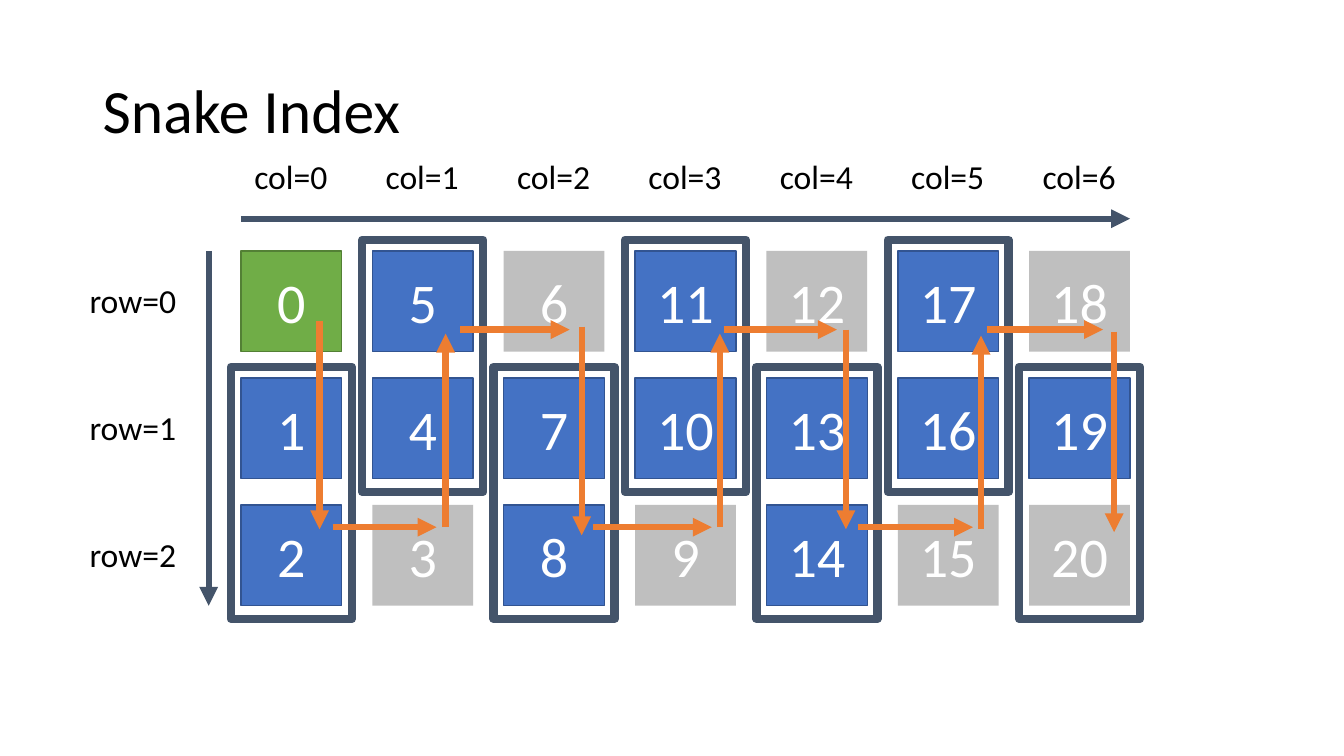
import pptx
import pptx.util
import pptx.dml.color
import pptx.enum.shapes
import pptx.enum.text
import pptx.oxml.ns
from lxml import etree

Inches, Pt = pptx.util.Inches, pptx.util.Pt
ALIGN = pptx.enum.text.PP_ALIGN
ANCHOR = pptx.enum.text.MSO_ANCHOR

TITLE = "Snake Index"
COLS, ROWS = 7, 3
START = 0
SKIPPED = {3, 6, 9, 12, 15, 18, 20}
FONT = "Calibri"
BLACK, WHITE, SLATE, ORANGE = "000000", "FFFFFF", "44546A", "ED7D31"
GREEN, GREEN_EDGE = "70AD47", "538035"
BLUE, BLUE_EDGE, GREY = "4472C4", "325491", "BFBFBF"

# Grid origin, pitch and cell size in inches
LEFT, TOP, PITCH_X, PITCH_Y, CELL = 2.39, 2.49, 1.303, 1.26, 1
FRAME_W, FRAME_H = 1.2, 2.5

# One run per column: x, y from, y to
RUNS = [(3.17, 3.18, 5.25), (4.42, 5.23, 3.31), (5.77, 3.24, 5.31),
        (7.14, 5.23, 3.31), (8.39, 3.27, 5.25), (9.73, 5.25, 3.33),
        (11.05, 3.29, 5.28)]
# One step between neighbouring columns: x from, x to; they alternate low and high
STEPS = [(3.3, 4.33), (4.56, 5.65), (5.88, 7.06), (7.18, 8.3),
         (8.51, 9.65), (9.79, 10.94)]
STEP_Y = (5.23, 3.27)


def rgb(value):
    """Turn a hex string into a colour."""
    return pptx.dml.color.RGBColor.from_string(value)


def write(sp, text, size, color, align):
    """Put one formatted line of text in a shape."""
    tf = sp.text_frame
    tf.text = text
    p = tf.paragraphs[0]
    p.alignment = align
    font = p.runs[0].font
    font.name, font.size, font.color.rgb = FONT, Pt(size), rgb(color)
    return tf


def add_label(x, y, w, h, text, size=24, align=ALIGN.LEFT):
    """Add a plain text box."""
    sp = s.shapes.add_textbox(Inches(x), Inches(y), Inches(w), Inches(h))
    tf = write(sp, text, size, BLACK, align)
    tf.word_wrap = False
    return tf


def add_box(x, y, w, h, fill=None, edge=None, weight=1):
    """Add a rectangle with optional fill and outline."""
    sp = s.shapes.add_shape(pptx.enum.shapes.MSO_SHAPE.RECTANGLE,
                            Inches(x), Inches(y), Inches(w), Inches(h))
    sp.shadow.inherit = False
    if fill:
        sp.fill.solid()
        sp.fill.fore_color.rgb = rgb(fill)
    else:
        sp.fill.background()
    if edge:
        sp.line.color.rgb = rgb(edge)
        sp.line.width = Pt(weight)
    else:
        sp.line.fill.background()
    return sp


def add_arrow(x1, y1, x2, y2, color):
    """Add a straight arrow without shadow."""
    line = s.shapes.add_connector(pptx.enum.shapes.MSO_CONNECTOR.STRAIGHT,
                                  Inches(x1), Inches(y1), Inches(x2), Inches(y2))
    line.line.color.rgb = rgb(color)
    line.line.width = Pt(4.5)
    qn = pptx.oxml.ns.qn
    etree.SubElement(line.line._get_or_add_ln(), qn("a:tailEnd"), type="triangle")
    etree.SubElement(line._element.spPr, qn("a:effectLst"))


def add_cell(col, row):
    """Add the numbered cell that the snake reaches at a column and row."""
    index = col * ROWS + (row if col % 2 == 0 else ROWS - 1 - row)
    if index == START:
        fill, edge = GREEN, GREEN_EDGE
    elif index in SKIPPED:
        fill, edge = GREY, None
    else:
        fill, edge = BLUE, BLUE_EDGE
    sp = add_box(LEFT + col * PITCH_X, TOP + row * PITCH_Y, CELL, CELL, fill, edge)
    tf = write(sp, str(index), 40, WHITE, ALIGN.CENTER)
    tf.vertical_anchor = ANCHOR.MIDDLE


prs = pptx.Presentation()
prs.slide_width, prs.slide_height = Inches(13.33), Inches(7.5)
s = prs.slides.add_slide(prs.slide_layouts[6])

title = add_label(0.92, 0.4, 11.5, 1.45, TITLE, 44)
title.word_wrap = True
title.vertical_anchor = ANCHOR.MIDDLE
title.paragraphs[0].line_spacing = 0.9

for col in range(COLS):
    x = LEFT + col * PITCH_X
    add_label(x + 0.03, 1.5, 0.93, 0.5, f"col={col}", align=ALIGN.CENTER)
    for row in range(ROWS):
        add_cell(col, row)
    frame_y = TOP - 0.11 + (PITCH_Y if col % 2 == 0 else 0)
    add_box(x - 0.1, frame_y, FRAME_W, FRAME_H, edge=SLATE, weight=6)

for row in range(ROWS):
    add_label(0.79, TOP + 0.24 + row * PITCH_Y, 1.07, 0.5, f"row={row}")

right = LEFT + (COLS - 1) * PITCH_X + CELL
bottom = TOP + (ROWS - 1) * PITCH_Y + CELL
add_arrow(LEFT, 2.17, right, 2.17, SLATE)
add_arrow(2.07, TOP, 2.07, bottom, SLATE)

for x, y1, y2 in RUNS:
    add_arrow(x, y1, x, y2, ORANGE)
for i, (x1, x2) in enumerate(STEPS):
    add_arrow(x1, STEP_Y[i % 2], x2, STEP_Y[i % 2], ORANGE)

prs.save("out.pptx")
